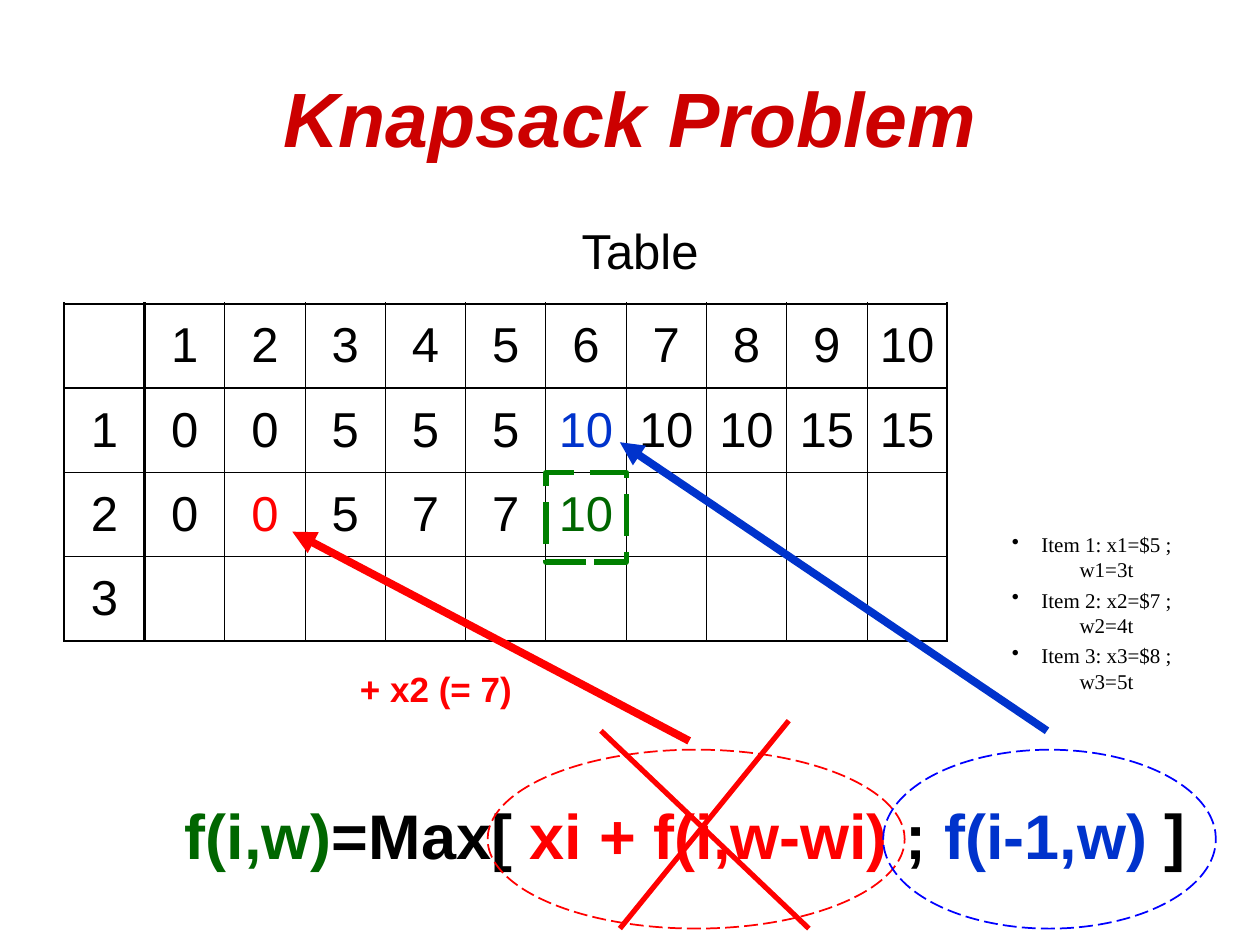
from dataclasses import dataclass
from pptx import Presentation
from pptx.dml.color import RGBColor
from pptx.enum.dml import MSO_LINE_DASH_STYLE as Dash
from pptx.enum.shapes import MSO_CONNECTOR as Connector, MSO_SHAPE as Shape
from pptx.enum.text import MSO_ANCHOR as Anchor, MSO_AUTO_SIZE as AutoSize, PP_ALIGN as Align
from pptx.oxml.xmlchemy import OxmlElement
from pptx.util import Inches, Pt

COLORS = {
    "title": "CC0000", "ink": "000000", "red": "FF0000", "blue": "0033CC",
    "green": "006600", "frame": "008000", "ring": "0000FF",
}
GRID = Inches(0.1)
HANGING = 3.8
VALUES = [
    ["", *range(1, 11)],
    [1, 0, 0, 5, 5, 5, 10, 10, 10, 15, 15],
    [2, 0, 0, 5, 7, 7, 10, "", "", "", ""],
    [3] + [""] * 10,
]
MARKED = {(1, 6): "blue", (2, 2): "red", (2, 6): "green"}
FORMULA = [
    ("f(i,w)", "green"), ("=Max[ ", "ink"), ("xi + f(i,w-wi)", "red"),
    (" ; ", "ink"), ("f(i-1,w)", "blue"), (" ]", "ink"),
]
ITEMS = ["Item 1: x1=$5 ; w1=3t", "Item 2: x2=$7 ; w2=4t", "Item 3: x3=$8 ; w3=5t"]


@dataclass
class Box:
    left: float
    top: float
    width: float
    height: float

    def inner(self, x, y, width, height):
        return Box(self.left + x, self.top + y, width, height)

    def point(self, x, y):
        return self.left + x, self.top + y

    def lengths(self):
        return [units(n) for n in (self.left, self.top, self.width, self.height)]


def units(count):
    return round(count * GRID)


def rgb(name):
    return RGBColor.from_string(COLORS[name])


def style(paragraph, size, color="ink", bold=False, italic=False, face="Arial", before=0):
    paragraph.alignment = Align.CENTER
    paragraph.space_before = Pt(before)
    font = paragraph.font
    font.name, font.size, font.bold, font.italic = face, Pt(size), bold, italic
    font.color.rgb = rgb(color)


def indent(paragraph, left, bullet=None):
    props = paragraph._p.get_or_add_pPr()
    props.set("marL", str(units(left)))
    props.set("indent", str(-units(left)))
    mark = OxmlElement("a:buChar" if bullet else "a:buNone")
    if bullet:
        mark.set("char", bullet)
    props.insert_element_before(mark, "a:tabLst", "a:defRPr", "a:extLst")


def put(placeholder, box, text):
    placeholder.left, placeholder.top, placeholder.width, placeholder.height = box.lengths()
    placeholder.text_frame.auto_size = AutoSize.NONE
    placeholder.text_frame.text = text
    return placeholder.text_frame.paragraphs[0]


def add_text(slide, box):
    frame = slide.shapes.add_textbox(*box.lengths()).text_frame
    frame.word_wrap = True
    return frame


def add_outline(slide, preset, box, color, weight):
    outline = slide.shapes.add_shape(preset, *box.lengths())
    outline.shadow.inherit = False
    outline.fill.background()
    outline.line.color.rgb = rgb(color)
    outline.line.width = Pt(weight)
    outline.line.dash_style = Dash.LONG_DASH


def add_line(slide, start, end, color, weight, arrow=False):
    ends = [units(n) for n in (*start, *end)]
    stroke = slide.shapes.add_connector(Connector.STRAIGHT, *ends)
    stroke.line.color.rgb = rgb(color)
    stroke.line.width = Pt(weight)
    props = stroke._element.spPr
    if arrow:
        tail = OxmlElement("a:tailEnd")
        tail.set("type", "triangle")
        props.get_or_add_ln().append(tail)
    props.append(OxmlElement("a:effectLst"))


def add_border(cell, side, weight):
    border = OxmlElement(f"a:ln{side}")
    border.set("w", str(Pt(weight)))
    fill = OxmlElement("a:solidFill")
    ink = OxmlElement("a:srgbClr")
    ink.set("val", COLORS["ink"])
    fill.append(ink)
    border.append(fill)
    cell._tc.get_or_add_tcPr().append(border)


def add_headings(slide, title_box, caption_box):
    title = put(slide.shapes.title, title_box, "Knapsack Problem")
    style(title, 44, "title", bold=True, italic=True)
    caption = put(slide.placeholders[1], caption_box, "Table")
    style(caption, 28, before=7)
    indent(caption, HANGING)


def add_values(slide, box):
    rows, cols = len(VALUES), len(VALUES[0])
    col_width, row_height = box.width / cols, box.height / rows
    grid = slide.shapes.add_table(rows, cols, *box.lengths()).table
    grid.first_row = grid.horz_banding = False
    for column in grid.columns:
        column.width = units(col_width)
    for r, values in enumerate(VALUES):
        grid.rows[r].height = units(row_height)
        for c, value in enumerate(values):
            cell = grid.cell(r, c)
            edges = {"L": (c, cols), "R": (c + 1, cols), "T": (r, rows), "B": (r + 1, rows)}
            for side, (edge, last) in edges.items():
                add_border(cell, side, 1.47 if edge in (0, 1, last) else 0.45)
            cell.fill.background()
            cell.vertical_anchor = Anchor.MIDDLE
            cell.text = str(value)
            style(cell.text_frame.paragraphs[0], 28, MARKED.get((r, c), "ink"), before=7)
    current = box.inner(6 * col_width, 2 * row_height, col_width, 7.1)
    add_outline(slide, Shape.RECTANGLE, current, "frame", 3)


def add_gain(slide, box):
    gain = add_text(slide, box).paragraphs[0]
    gain.text = "+ x2 (= 7)"
    style(gain, 20, "red", bold=True, before=5)
    indent(gain, HANGING)


def add_recurrence(slide, box):
    formula = add_text(slide, box).paragraphs[0]
    style(formula, 36, bold=True, before=9)
    indent(formula, HANGING)
    for term, color in FORMULA:
        run = formula.add_run()
        run.text = term
        run.font.color.rgb = rgb(color)
    add_outline(slide, Shape.OVAL, box.inner(28.1, -3.2, 33.1, 14.2), "red", 1)
    add_outline(slide, Shape.OVAL, box.inner(59.5, -3.2, 26.4, 14.2), "ring", 1)


def add_choices(slide, values_box, formula_box):
    take, skip = formula_box.point(44.1, -3.9), formula_box.point(72.5, -4.7)
    add_line(slide, take, values_box.point(18.1, 18.1), "red", 4.5, arrow=True)
    add_line(slide, skip, values_box.point(44.1, 11), "blue", 4.5, arrow=True)
    add_line(slide, formula_box.point(37.1, -4.7), formula_box.point(53.6, 11), "red", 3)
    add_line(slide, formula_box.point(52, -5.5), formula_box.point(38.6, 11), "red", 3)


def add_items(slide, box):
    frame = add_text(slide, box)
    frame.auto_size = AutoSize.SHAPE_TO_FIT_TEXT
    frame.text = "\n".join(ITEMS)
    for item in frame.paragraphs:
        style(item, 12, face="Times New Roman", before=3)
        indent(item, 2.35, "•")


def main():
    deck = Presentation()
    deck.slide_width, deck.slide_height = units(100), units(75)
    slide = deck.slides.add_slide(deck.slide_layouts[1])
    values_box = Box(5.1, 24.1, 70.1, 26.8)
    formula_box = Box(10.6, 62.7, 87.6, 9.8)
    add_headings(slide, Box(5, 3, 90, 12.5), Box(28.7, 17, 44.2, 6.6))
    add_values(slide, values_box)
    add_gain(slide, Box(22.4, 52.5, 24.4, 6.6))
    add_recurrence(slide, formula_box)
    add_choices(slide, values_box, formula_box)
    add_items(slide, Box(77.5, 41.7, 18.3, 7.9))
    deck.save("out.pptx")


if __name__ == "__main__":
    main()
